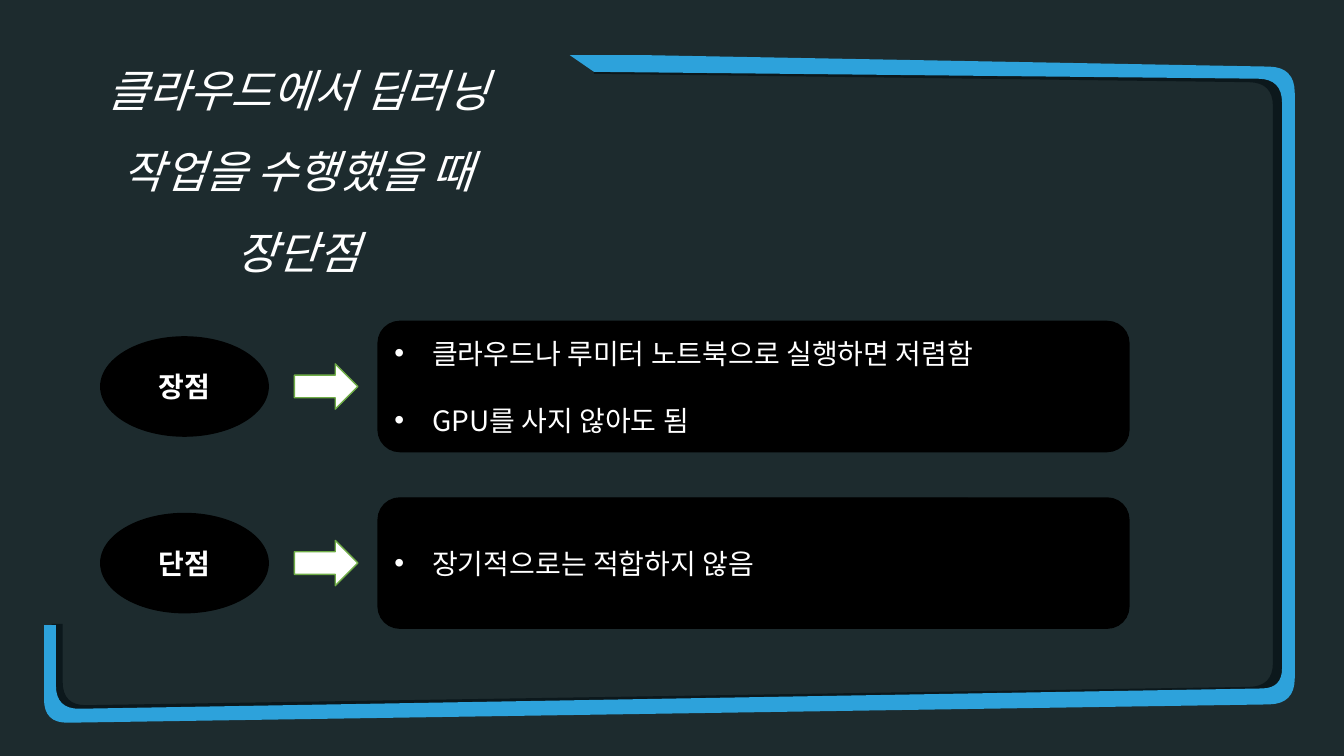
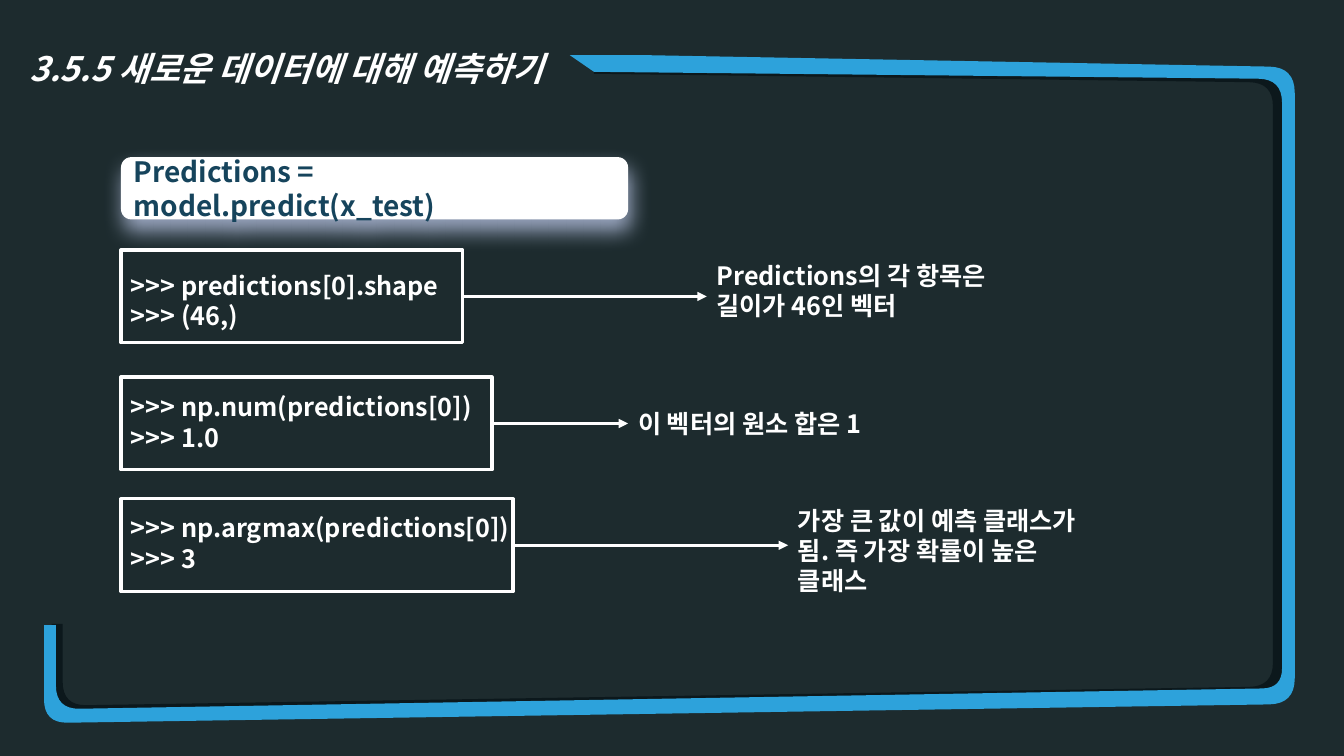
from lxml import etree
from pptx import Presentation
from pptx import util as u
from pptx.dml.color import RGBColor
from pptx.enum import shapes, text
from pptx.oxml.ns import qn

Cm, Pt = u.Cm, u.Pt
DARK = RGBColor(0x1D, 0x2B, 0x2E)
BLUE = RGBColor(0x2D, 0xA2, 0xDB)
SHADE = RGBColor(0x0C, 0x18, 0x1C)
BLACK = RGBColor(0, 0, 0)
WHITE = RGBColor(0xFF, 0xFF, 0xFF)
GREEN = RGBColor(0x70, 0xAD, 0x47)
NAVY = RGBColor(0x16, 0x44, 0x5C)
GLOW = RGBColor(0x9A, 0xA6, 0xC0)
FONT = "Noto Sans CJK KR"

BAND = [(14.36, 1.39, 0), (16.3, 1.39, 0), (32.63, 1.69, 0.65),
        (32.63, 17.74, 0.65), (1.11, 18.22, 0.6), (1.11, 15.75, 0),
        (1.41, 15.75, 0), (1.41, 17.87, 0.6), (32.31, 17.34, 0.5),
        (32.31, 1.99, 0.6), (14.97, 1.81, 0)]
BAND_SIDE = [(14.97, 1.6, 0), (32.5, 1.85, 0), (32.5, 17.5, 0),
             (1.3, 18, 0), (1.3, 15.72, 0), (1.58, 15.72, 0),
             (1.58, 17.78, 0.6), (32.08, 17.3, 0.6),
             (32.08, 2.08, 0.6), (14.97, 1.86, 0)]


def sub(parent, tag, **attrs):
    """Append a drawing element with the given attributes."""
    el = etree.SubElement(parent, qn(tag))
    for k, v in attrs.items():
        el.set(k, str(v))
    return el


def write(sp, lines, size, color=WHITE, bold=False, italic=False,
          align=text.PP_ALIGN.LEFT, anchor=text.MSO_ANCHOR.MIDDLE):
    """Fill a shape with wrapped, formatted paragraphs and return its frame."""
    tf = sp.text_frame
    tf.word_wrap = True
    tf.vertical_anchor = anchor
    tf.text = "\n".join(lines)
    for p in tf.paragraphs:
        p.alignment = align
        for r in p.runs:
            r.font.size, r.font.bold, r.font.italic = Pt(size), bold, italic
            r.font.color.rgb = color
            r.font.name = FONT
            sub(r.font._element, "a:ea", typeface=FONT)
    return tf


def paint(sp, fill=None, line=None, width=1):
    """Set fill and line, and drop the shadow."""
    sp.shadow.inherit = False
    if fill is None:
        sp.fill.background()
    else:
        sp.fill.solid()
        sp.fill.fore_color.rgb = fill
    if line is None:
        sp.line.fill.background()
    else:
        sp.line.color.rgb = line
        sp.line.width = Pt(width)
    return sp


def shape(s, kind, x, y, w, h, **style):
    """Add a painted preset shape."""
    sp = s.shapes.add_shape(kind, Cm(x), Cm(y), Cm(w), Cm(h))
    return paint(sp, **style)


def textbox(s, x, y, w, h, lines, size, **style):
    """Add a text box anchored at the top."""
    sp = s.shapes.add_textbox(Cm(x), Cm(y), Cm(w), Cm(h))
    return write(sp, lines, size, anchor=text.MSO_ANCHOR.TOP, **style)


def toward(a, b, dist):
    """Return the point at a distance from a on the way to b."""
    dx, dy = b[0] - a[0], b[1] - a[1]
    f = dist / (dx * dx + dy * dy) ** 0.5
    return a[0] + dx * f, a[1] + dy * f


def rounded(corners, steps=8):
    """Turn corners with radii into a list of outline points."""
    pts = []
    for i, c in enumerate(corners):
        if not c[2]:
            pts.append(c[:2])
            continue
        a = toward(c, corners[i - 1], c[2])
        b = toward(c, corners[(i + 1) % len(corners)], c[2])
        for k in range(steps + 1):
            t = k / steps
            pts.append(tuple((1 - t) ** 2 * a[n] + 2 * t * (1 - t) * c[n]
                             + t * t * b[n] for n in (0, 1)))
    return pts


def frame(s):
    """Draw the open blue band with its dark inner side."""
    for corners, color in ((BAND_SIDE, SHADE), (BAND, BLUE)):
        pts = [(Cm(x), Cm(y)) for x, y in rounded(corners)]
        fb = s.shapes.build_freeform(*pts[0], scale=1.0)
        fb.add_line_segments(pts[1:], close=True)
        paint(fb.convert_to_shape(), fill=color)


def new_slide(prs, title, box, size, bold=False):
    """Add a dark slide with the band and an italic title."""
    s = prs.slides.add_slide(prs.slide_layouts[6])
    s.background.fill.solid()
    s.background.fill.fore_color.rgb = DARK
    frame(s)
    tf = textbox(s, *box, [title], size, bold=bold, italic=True,
                 align=text.PP_ALIGN.CENTER)
    tf.paragraphs[0].line_spacing = 1.5
    return s


def point_row(s, x, y, h, label, points):
    """Draw an oval label, an arrow and a card of bullets on one axis."""
    mid = y + h / 2
    kinds = shapes.MSO_SHAPE
    oval = shape(s, kinds.OVAL, x, mid - 1.25, 4.22, 2.5,
                 fill=BLACK, line=BLACK)
    write(oval, [label], 20, bold=True, align=text.PP_ALIGN.CENTER)
    shape(s, kinds.RIGHT_ARROW, x + 4.88, mid - 0.57, 1.6, 1.14,
          fill=WHITE, line=GREEN)
    card = shape(s, kinds.ROUNDED_RECTANGLE, x + 6.99, y, 18.92, h,
                 fill=BLACK, line=BLACK)
    tf = write(card, points, 20)
    for i, p in enumerate(tf.paragraphs):
        p.space_before = Pt(24 if i else 0)
        pPr = p._p.get_or_add_pPr()
        pPr.set("marL", str(Cm(0.95)))
        pPr.set("indent", str(Cm(-0.95)))
        sub(pPr, "a:buFont", typeface="Arial")
        sub(pPr, "a:buChar", char="•")


def call_banner(s, x, y, w, h, code):
    """Draw the white glowing banner with a line of code."""
    sp = shape(s, shapes.MSO_SHAPE.ROUNDED_RECTANGLE, x, y, w, h, fill=WHITE)
    write(sp, [code], 20, color=NAVY, bold=True)
    effects = sp._element.spPr.find(qn("a:effectLst"))
    shadow = sub(effects, "a:outerShdw", blurRad=Pt(15), dist=Pt(8),
                 dir=75 * 60000, algn="tl", rotWithShape=0)
    sub(shadow, "a:srgbClr", val=GLOW)


def code_row(s, x, y, w, h, code, inset, arrow, note, note_box):
    """Draw a code box, an arrow to the right and its explanation."""
    sp = shape(s, shapes.MSO_SHAPE.RECTANGLE, x, y, w, h,
               line=WHITE, width=2.25)
    tf = write(sp, code, 18, bold=True, anchor=text.MSO_ANCHOR.TOP)
    tf.margin_top, tf.margin_right = Cm(inset), 0
    mid, end = y + h / 2, x + w + arrow
    c = s.shapes.add_connector(shapes.MSO_CONNECTOR.STRAIGHT,
                               Cm(x + w), Cm(mid), Cm(end), Cm(mid))
    c.line.color.rgb = WHITE
    c.line.width = Pt(2.25)
    sub(c.line._get_or_add_ln(), "a:tailEnd", type="triangle")
    sub(c._element.spPr, "a:effectLst")
    dy, note_w, note_h = note_box
    textbox(s, end, y + dy, note_w, note_h, [note], 18, bold=True)


def pros_cons_slide(prs):
    """Build the slide on the pros and cons of the cloud."""
    s = new_slide(prs, "클라우드에서 딥러닝 작업을 수행했을 때 장단점",
                  (1.63, 0.79, 11.76, 6.4), 32)
    rows = [("장점", ["클라우드나 루미터 노트북으로 실행하면 저렴함",
                    "GPU를 사지 않아도 됨"]),
            ("단점", ["장기적으로는 적합하지 않음"])]
    for i, (label, points) in enumerate(rows):
        point_row(s, 2.54, 8.1 + 4.45 * i, 3.28, label, points)


def predict_slide(prs):
    """Build the slide on predicting new data."""
    s = new_slide(prs, "3.5.5 새로운 데이터에 대해 예측하기",
                  (-0.23, 0.58, 14.88, 1.6), 24, bold=True)
    call_banner(s, 3.05, 3.96, 12.78, 1.57,
                "Predictions = model.predict(x_test)")
    rows = [
        (6.3, 8.61, [">>> predictions[0].shape", ">>> (46,)"], 0.5, 6.15,
         "Predictions의 각 항목은 길이가 46인 벡터", (0.13, 7.54, 1.8)),
        (9.5, 9.35, [">>> np.num(predictions[0])", ">>> 1.0"], 0.37, 3.43,
         "이 벡터의 원소 합은 1", (0.66, 7.54, 1.03)),
        (12.57, 9.88, [">>> np.argmax(predictions[0])", ">>> 3"], 0.35, 6.93,
         "가장 큰 값이 예측 클래스가 됨. 즉 가장 확률이 높은 클래스",
         (0.03, 8.2, 2.56)),
    ]
    for y, w, *parts in rows:
        code_row(s, 3.05, y, w, 2.34, *parts)


def main():
    """Build and save the presentation."""
    prs = Presentation()
    prs.slide_width, prs.slide_height = Cm(33.87), Cm(19.05)
    pros_cons_slide(prs)
    predict_slide(prs)
    prs.save("out.pptx")


if __name__ == "__main__":
    main()
